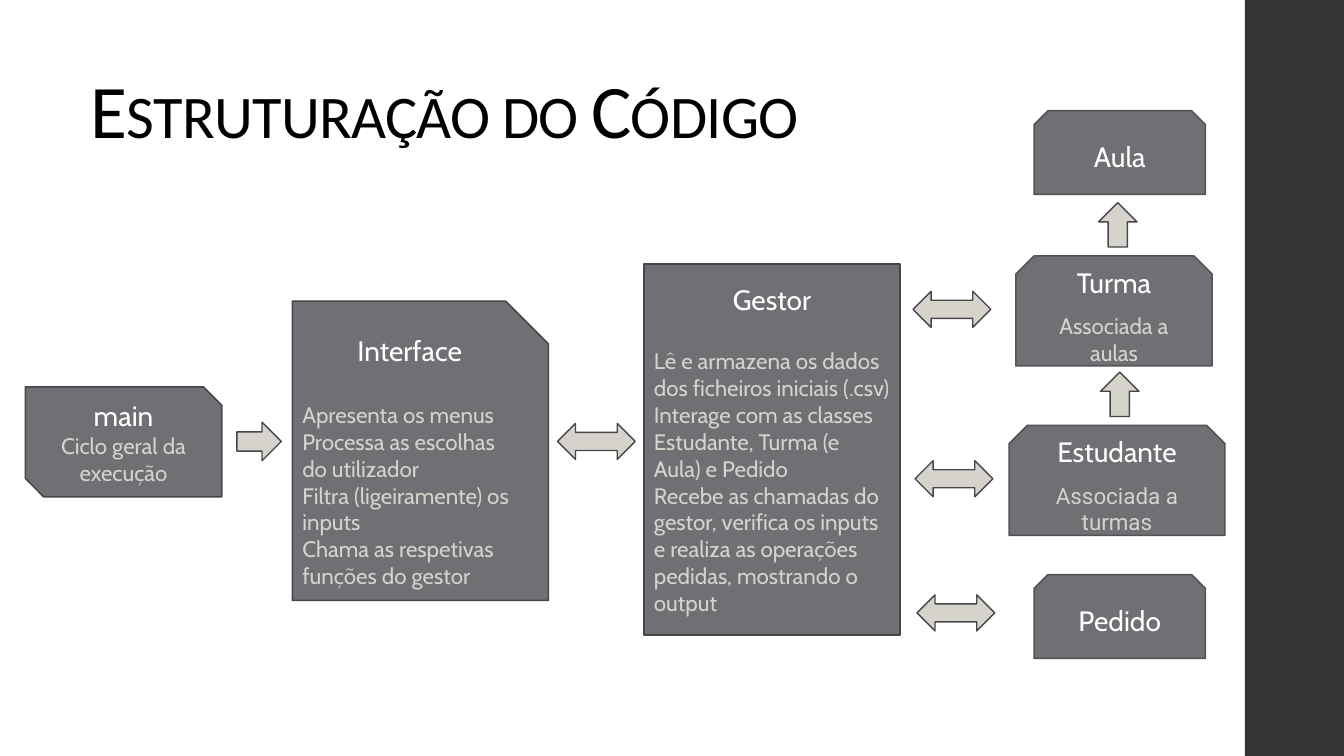
from pptx import Presentation
from pptx import util as u
from pptx.dml.color import RGBColor
from pptx.enum import shapes, text

WHITE = RGBColor(0xFF, 0xFF, 0xFF)
BLACK = RGBColor(0, 0, 0)
SIDEBAR = RGBColor(0x35, 0x35, 0x37)
GRAY = RGBColor(0x6F, 0x6F, 0x74)
SAND = RGBColor(0xD6, 0xD3, 0xCC)
OUTLINE = RGBColor(0x46, 0x46, 0x4A)
CLASS_OUTLINE = RGBColor(0x52, 0x52, 0x56)

KIND = shapes.MSO_SHAPE
CENTER, LEFT = text.PP_ALIGN.CENTER, text.PP_ALIGN.LEFT
HEADING = {"size": u.Pt(20), "name": "Cabin"}
DETAIL = {"size": u.Pt(16), "name": "Cabin"}

# kind, (left, top, width, height) in cm, outline
MODULES = [
    ("main", KIND.SNIP_2_DIAG_RECTANGLE, (0.64, 9.75, 4.95, 2.77), OUTLINE,
     ["Ciclo geral da execução"], {}),
    ("Interface", KIND.SNIP_1_RECTANGLE, (7.37, 7.59, 6.45, 7.54), OUTLINE,
     ["Apresenta os menus",
      "Processa as escolhas do utilizador",
      "Filtra (ligeiramente) os inputs",
      "Chama as respetivas funções do gestor"], {"align": LEFT, "gap": 24}),
    ("Gestor", KIND.RECTANGLE, (16.23, 6.65, 6.45, 9.35), OUTLINE,
     ["Lê e armazena os dados dos ficheiros iniciais (.csv)",
      "Interage com as classes Estudante, Turma (e Aula) e Pedido",
      "Recebe as chamadas do gestor, verifica os inputs e realiza "
      "as operações pedidas, mostrando o output"], {"align": LEFT, "gap": 22}),
]
CLASSES = [
    ("Aula", (26.06, 2.79, 4.32, 2.11), [], {}),
    ("Turma", (25.6, 6.45, 4.95, 2.77), ["Associada a aulas"], {"gap": 9.7}),
    ("Estudante", (25.43, 10.72, 5.44, 2.77), ["Associada a turmas"],
     {"gap": 9.7, "detail_font": "Roboto"}),
    ("Pedido", (26.06, 14.48, 4.32, 2.11), [], {}),
]
ONE_WAY = [(5.97, 10.64, 0), (27.61, 5.18, 270), (27.66, 9.45, 270)]
TWO_WAY = [(14.05, 10.67), (23.01, 7.34), (23.06, 11.61), (23.11, 14.99)]


def add_filled(slide, kind, place, fill, outline=None, weight=1.0):
    """Add a flat preset shape; without an outline colour it has no line."""
    shape = slide.shapes.add_shape(kind, *map(u.Cm, place))
    shape.shadow.inherit = False
    shape.fill.solid()
    shape.fill.fore_color.rgb = fill
    if outline is None:
        shape.line.fill.background()
    else:
        shape.line.color.rgb = outline
        shape.line.width = u.Pt(weight)
    return shape


def write(paragraph, words, color, font, align):
    paragraph.alignment = align
    run = paragraph.add_run()
    run.text = words
    run.font.color.rgb = color
    for attribute, value in font.items():
        setattr(run.font, attribute, value)
    return run


def add_title(slide, words):
    title = slide.shapes.add_textbox(*map(u.Cm, (2.03, 1.24, 27.94, 2.77)))
    frame = title.text_frame
    frame.word_wrap = True
    frame.vertical_anchor = text.MSO_ANCHOR.BOTTOM
    heading = frame.paragraphs[0]
    heading.line_spacing = 0.85
    run = write(heading, words, BLACK, {"size": u.Pt(54), "name": "Calibri"}, LEFT)
    properties = run.font._element
    properties.set("cap", "small")
    properties.set("spc", "-50")


def add_block(slide, name, kind, place, outline, details,
              align=CENTER, gap=0, detail_font="Cabin"):
    """Add a code block: a centred name, a gap in points, then its details."""
    block = add_filled(slide, kind, place, GRAY, outline, 1.1)
    frame = block.text_frame
    frame.word_wrap = True
    frame.vertical_anchor = text.MSO_ANCHOR.MIDDLE
    heading = frame.paragraphs[0]
    heading.space_after = u.Pt(gap)
    write(heading, name, WHITE, HEADING, CENTER)
    for detail in details:
        write(frame.add_paragraph(), detail, SAND,
              {**DETAIL, "name": detail_font}, align)


def add_arrows(slide):
    for left, top, rotation in ONE_WAY:
        arrow = add_filled(slide, KIND.RIGHT_ARROW, (left, top, 1.12, 0.97),
                           SAND, OUTLINE)
        arrow.rotation = rotation
    for left, top in TWO_WAY:
        add_filled(slide, KIND.LEFT_RIGHT_ARROW, (left, top, 1.96, 0.91),
                   SAND, OUTLINE)


def main():
    deck = Presentation()
    deck.slide_width, deck.slide_height = u.Cm(33.87), u.Cm(19.05)
    slide = deck.slides.add_slide(deck.slide_layouts[6])
    add_filled(slide, KIND.RECTANGLE, (31.37, 0, 2.5, 19.05), SIDEBAR)
    add_title(slide, "Estruturação do Código")
    for name, kind, place, outline, details, layout in MODULES:
        add_block(slide, name, kind, place, outline, details, **layout)
    for name, place, details, layout in CLASSES:
        add_block(slide, name, KIND.SNIP_2_SAME_RECTANGLE, place,
                  CLASS_OUTLINE, details, **layout)
    add_arrows(slide)
    deck.save("out.pptx")


if __name__ == "__main__":
    main()
